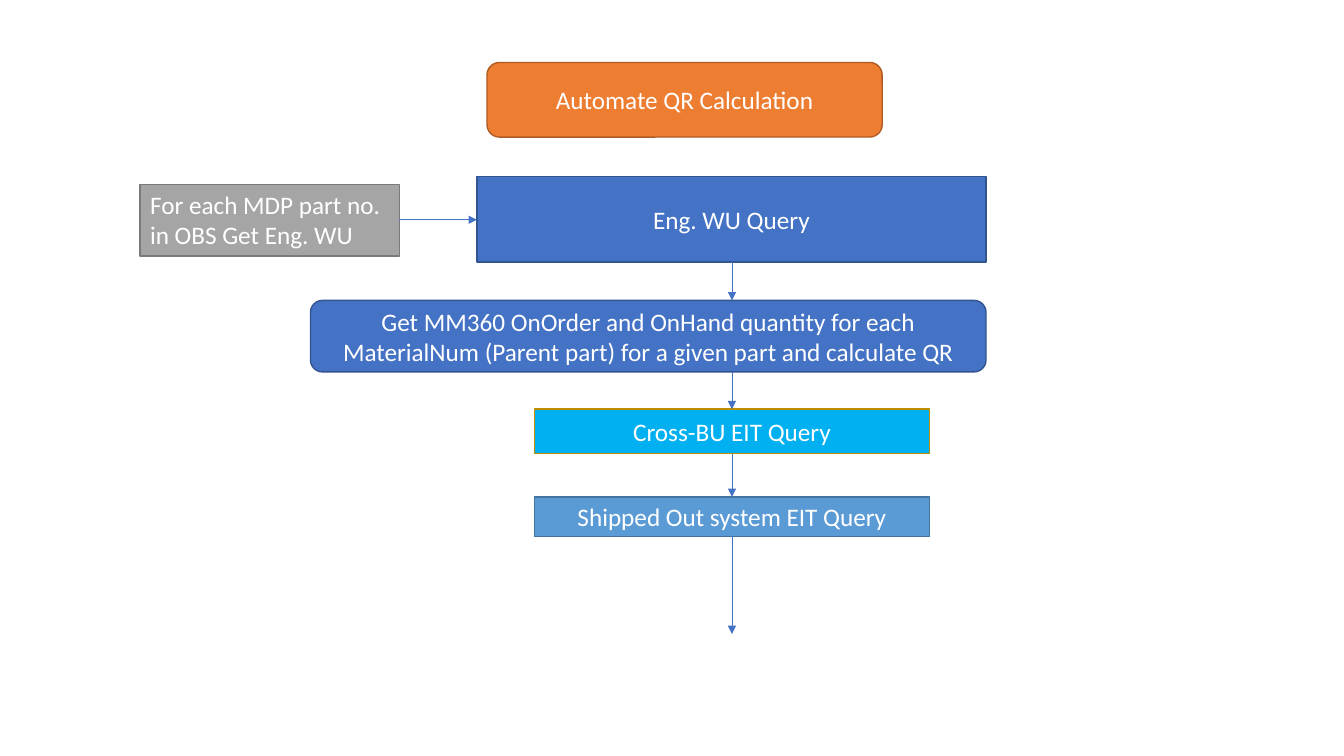
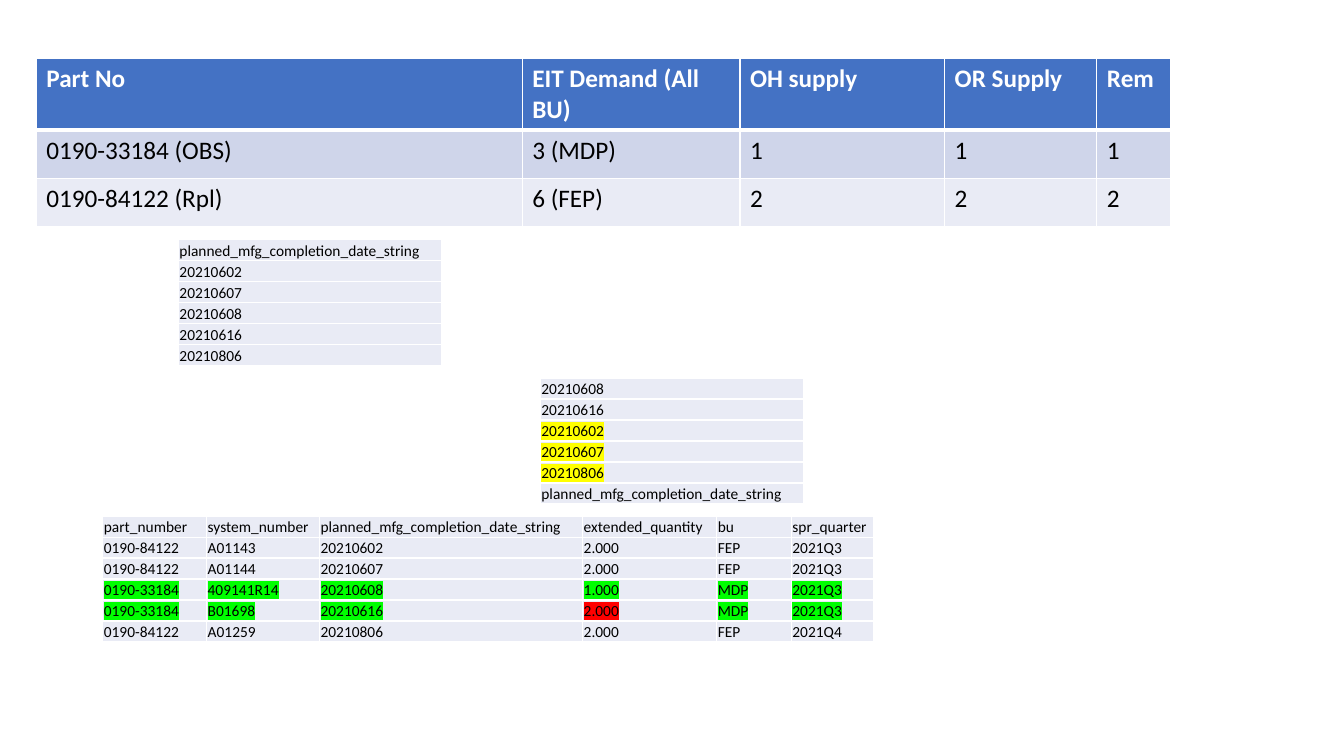
from pptx import Presentation
from pptx.dml.color import RGBColor
from pptx.enum.shapes import MSO_CONNECTOR as LINK, MSO_SHAPE as FORM
from pptx.enum.text import MSO_ANCHOR as ANCHOR, PP_ALIGN as ALIGN
from pptx.oxml.ns import qn
from pptx.util import Inches, Pt
from lxml.etree import SubElement, Element

# Shared look
FONT = "Calibri"
WHITE, BLACK = "FFFFFF", "000000"
BLUE, EDGE = "4472C4", "325491"
PALE, BAND = "E9EBF5", "CFD5EA"
YELLOW, GREEN, RED = "FFFF00", "00FF00", "FF0000"
DATE = "planned_mfg_completion_date_string"
AXIS = 7.26


def color(code):
    return RGBColor.from_string(code)


def paint(node, code):
    fill = SubElement(node, qn("a:solidFill"))
    SubElement(fill, qn("a:srgbClr"), val=code)


def write(frame, text, size=18, ink=WHITE, bold=False,
          align=ALIGN.LEFT, mark=None):
    frame.word_wrap = True
    para = frame.paragraphs[0]
    para.alignment = align
    run = para.add_run()
    run.text = text
    font = run.font
    font.name, font.size, font.bold = FONT, Pt(size), bold
    font.color.rgb = color(ink)
    if mark:
        light = Element(qn("a:highlight"))
        SubElement(light, qn("a:srgbClr"), val=mark)
        run._r.rPr.find(qn("a:solidFill")).addnext(light)


def box(slide, text, place, fill, edge, form=FORM.RECTANGLE,
        align=ALIGN.CENTER, anchor=ANCHOR.MIDDLE):
    shape = slide.shapes.add_shape(form, *map(Inches, place))
    shape.shadow.inherit = False
    shape.fill.solid()
    shape.fill.fore_color.rgb = color(fill)
    shape.line.color.rgb = color(edge)
    shape.line.width = Pt(1)
    shape.text_frame.vertical_anchor = anchor
    write(shape.text_frame, text, align=align)


def arrow(slide, *ends):
    line = slide.shapes.add_connector(LINK.STRAIGHT, *map(Inches, ends))
    line.line.color.rgb = color(BLUE)
    line.line.width = Pt(0.5)
    SubElement(line.line._get_or_add_ln(), qn("a:tailEnd"), type="triangle")
    SubElement(line._element.spPr, qn("a:effectLst"))


def border(cell, top=1, bottom=1):
    props = cell._tc.get_or_add_tcPr()
    sides = {"L": 1, "R": 1, "T": top, "B": bottom}
    for spot, (side, width) in enumerate(sides.items()):
        line = Element(qn("a:ln" + side), w=str(Pt(width)))
        paint(line, WHITE)
        props.insert(spot, line)


def grid(slide, left, top, widths, heights, rows):
    """Add an empty table and yield the row, column, cell and text."""
    frame = slide.shapes.add_table(
        len(rows), len(widths), Inches(left), Inches(top),
        Inches(sum(widths)), Inches(sum(heights)))
    table = frame.table
    for col, width in zip(table.columns, widths):
        col.width = Inches(width)
    for row, height in zip(table.rows, heights):
        row.height = Inches(height)
    for r, row in enumerate(rows):
        for c, text in enumerate(row):
            cell = table.cell(r, c)
            cell.fill.solid()
            yield r, c, cell, text


def supply(slide, left, top, widths, rows):
    for r, _, cell, text in grid(slide, left, top, widths,
                                 [0.71, 0.48, 0.48], rows):
        head = r == 0
        cell.fill.fore_color.rgb = color([BLUE, BAND, PALE][r])
        border(cell, top=3 if r == 1 else 1, bottom=3 if head else 1)
        write(cell.text_frame, text, ink=WHITE if head else BLACK, bold=head)


def data(slide, left, top, widths, rows, marks=None):
    marks = marks or {}
    for r, c, cell, text in grid(slide, left, top, widths,
                                 [1.25 / len(rows)] * len(rows), rows):
        cell.fill.fore_color.rgb = color(PALE)
        cell.vertical_anchor = ANCHOR.BOTTOM
        cell.margin_left = cell.margin_right = cell.margin_top = Inches(0.01)
        cell.margin_bottom = 0
        border(cell)
        write(cell.text_frame, text, size=11, ink=BLACK, mark=marks.get((r, c)))


def flow(slide):
    box(slide, "Automate QR Calculation", (4.83, 0.62, 3.92, 0.74),
        "ED7D31", "AF5C24", FORM.ROUNDED_RECTANGLE)
    box(slide, "For each MDP part no. in OBS Get Eng. WU",
        (1.39, 1.83, 2.57, 0.71), "A5A5A5", "7A7A7A",
        align=ALIGN.LEFT, anchor=ANCHOR.TOP)
    arrow(slide, 3.96, 2.18, 4.73, 2.18)

    # Steps from top to bottom
    steps = [
        ("Eng. WU Query", (4.73, 1.75, 5.05, 0.85), BLUE, EDGE),
        ("Get MM360 OnOrder and OnHand quantity for each MaterialNum "
         "(Parent part) for a given part and calculate QR",
         (3.08, 2.98, 6.7, 0.71), BLUE, EDGE, FORM.ROUNDED_RECTANGLE),
        ("Cross-BU EIT Query", (5.3, 4.06, 3.92, 0.44), "00B0F0", "BD8E00"),
        ("Shipped Out system EIT Query", (5.3, 4.93, 3.92, 0.39),
         "5B9BD5", "43739E"),
    ]
    for step in steps:
        box(slide, *step)

    # Each arrow runs to the next step, the last one to the end
    tops = [step[1][1] for step in steps[1:]] + [6.29]
    for step, end in zip(steps, tops):
        _, top, _, height = step[1]
        arrow(slide, AXIS, top + height, AXIS, end)


def tables(slide):
    supply(slide, 0.36, 0.58, [4.82, 2.16, 2.03, 1.51, 0.73], [
        ["Part No", "EIT Demand (All BU)", "OH supply", "OR Supply", "Rem"],
        ["0190-33184 (OBS)", "3 (MDP)", "1", "1", "1"],
        ["0190-84122 (Rpl)", "6 (FEP)", "2", "2", "2"],
    ])

    # Dates before and after sorting
    dates = ["20210602", "20210607", "20210608", "20210616", "20210806"]
    order = [dates[i] for i in (2, 3, 0, 1, 4)]
    data(slide, 5.36, 3.75, [2.61], [[text] for text in order + [DATE]],
         {(r, 0): YELLOW for r in (2, 3, 4)})
    data(slide, 1.77, 2.38, [2.61], [[text] for text in [DATE] + dates])

    # Demand by part
    rows = [
        ["part_number", "system_number", DATE, "extended_quantity", "bu",
         "spr_quarter"],
        ["0190-84122", "A01143", "20210602", "2.000", "FEP", "2021Q3"],
        ["0190-84122", "A01144", "20210607", "2.000", "FEP", "2021Q3"],
        ["0190-33184", "409141R14", "20210608", "1.000", "MDP", "2021Q3"],
        ["0190-33184", "B01698", "20210616", "2.000", "MDP", "2021Q3"],
        ["0190-84122", "A01259", "20210806", "2.000", "FEP", "2021Q4"],
    ]
    marks = {(r, c): GREEN for r in (3, 4) for c in range(6)}
    marks[4, 3] = RED
    data(slide, 1.02, 5.12, [1.03, 1.12, 2.61, 1.33, 0.74, 0.82], rows, marks)


def main():
    deck = Presentation()
    deck.slide_width, deck.slide_height = Inches(13.33), Inches(7.5)
    blank = deck.slide_layouts[6]
    for build in (flow, tables):
        build(deck.slides.add_slide(blank))
    deck.save("out.pptx")


main()
